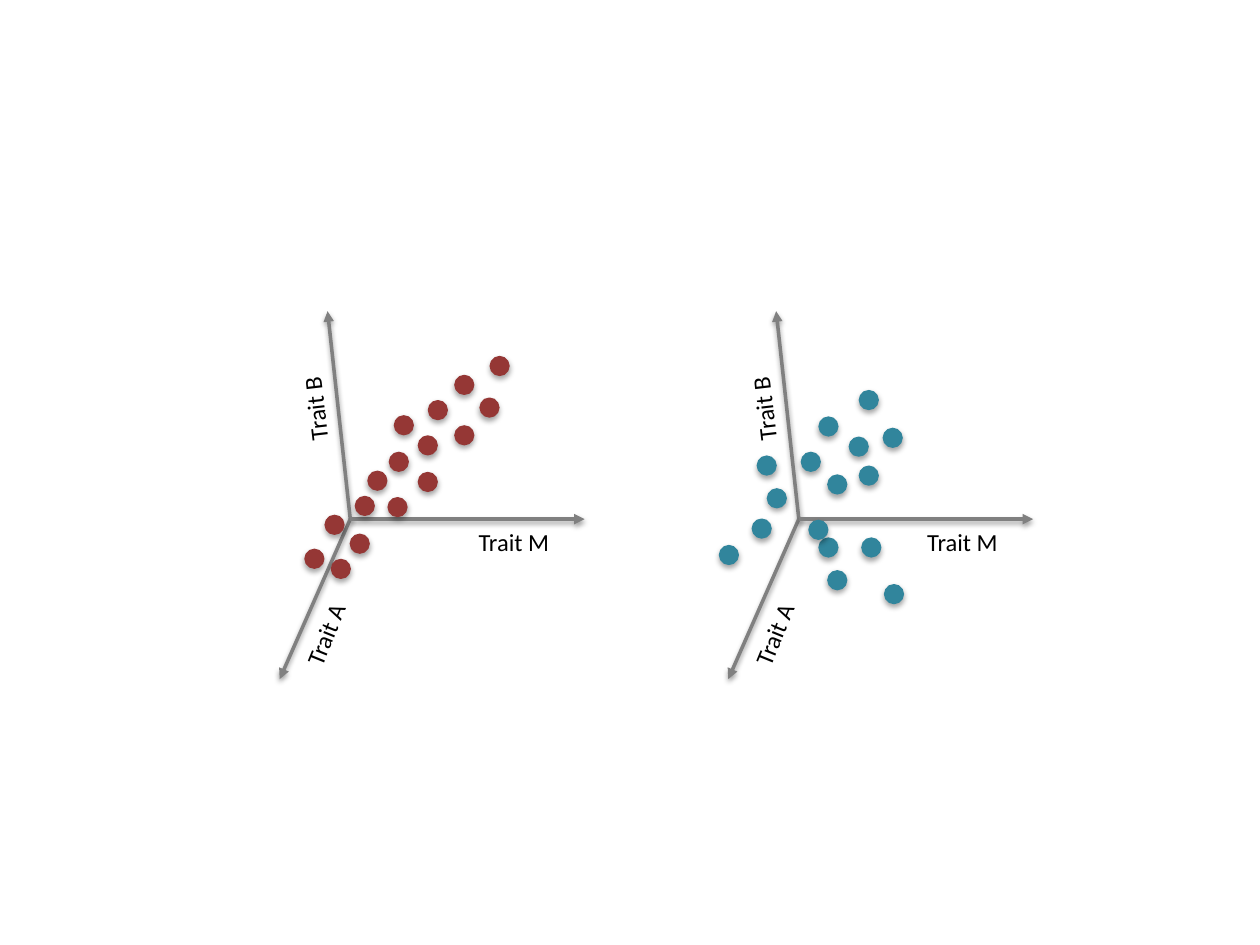
"""Two three-axis trait plots, one with correlated and one with scattered points."""
from dataclasses import dataclass

from lxml import etree
from pptx import Presentation
from pptx.dml.color import RGBColor
from pptx.enum import shapes, text
from pptx.oxml import ns
from pptx.util import Inches, Pt

DOT = 0.15
ORIGIN_Y = 4.12


@dataclass
class Axis:
    label: str
    dx: float
    dy: float
    label_dx: float
    label_top: float
    label_width: float
    rotation: float


@dataclass
class Plot:
    origin_x: float
    color: str
    dots: list[tuple[float, float]]


AXES = [
    Axis("Trait B", -0.18, -1.65, -0.63, 3.08, 0.7, 263.3),
    Axis("Trait A", -0.56, 1.27, -0.55, 4.87, 0.7, 292.1),
    Axis("Trait M", 1.86, 0, 0.92, 4.13, 0.76, 0),
]

PLOTS = [
    Plot(2.78, "953735", [
        (3.13, 3.3), (2.82, 3.94), (3.81, 3.16), (3.4, 3.18),
        (2.63, 4.44), (3.32, 3.75), (2.92, 3.74), (2.78, 4.24),
        (3.08, 3.95), (3.89, 2.83), (3.61, 2.98), (3.32, 3.46),
        (2.58, 4.09), (3.09, 3.59), (3.61, 3.38), (2.42, 4.36)]),
    Plot(6.34, "31859C", [
        (6.57, 3.77), (6.5, 4.27), (6.84, 4.27), (6.5, 3.31),
        (5.97, 4.12), (6.57, 4.53), (7.02, 4.64), (6.01, 3.62),
        (6.42, 4.13), (6.82, 3.1), (7.01, 3.4), (6.74, 3.47),
        (5.71, 4.33), (6.36, 3.59), (6.82, 3.7), (6.09, 3.88)]),
]


def rgb(color: str) -> RGBColor:
    """Turn a hex string into a colour."""
    return RGBColor.from_string(color)


def add_shadow(sp, distance: float, opacity: int) -> None:
    """Give a shape or connector a soft shadow that falls straight down."""
    effects = etree.SubElement(sp._element.spPr, ns.qn("a:effectLst"))
    shadow = etree.SubElement(
        effects, ns.qn("a:outerShdw"), blurRad=str(Pt(3.1)), dist=str(Pt(distance)),
        dir="5400000", rotWithShape="0")
    color = etree.SubElement(shadow, ns.qn("a:srgbClr"), val="000000")
    etree.SubElement(color, ns.qn("a:alpha"), val=str(opacity * 1000))


def add_text(s, words: str, *, left: float, top: float, width: float, height: float = 0.33,
             rotation: float = 0, size: int = 14, color: str = "000000",
             font: str = "Calibri") -> None:
    """Add a single-line label."""
    sp = s.shapes.add_textbox(Inches(left), Inches(top), Inches(width), Inches(height))
    sp.rotation = rotation
    tf = sp.text_frame
    tf.word_wrap = False
    tf.auto_size = text.MSO_AUTO_SIZE.NONE
    r = tf.paragraphs[0].add_run()
    r.text = words
    r.font.name = font
    r.font.size = Pt(size)
    r.font.color.rgb = rgb(color)


def add_arrow(s, x: float, axis: Axis) -> None:
    """Draw an axis arrow outward from the origin."""
    sp = s.shapes.add_connector(
        shapes.MSO_CONNECTOR.STRAIGHT, Inches(x), Inches(ORIGIN_Y),
        Inches(x + axis.dx), Inches(ORIGIN_Y + axis.dy))
    sp.line.color.rgb = rgb("808080")
    sp.line.width = Pt(2)
    etree.SubElement(sp.line._get_or_add_ln(), ns.qn("a:tailEnd"), type="triangle")
    add_shadow(sp, 1.6, 38)


def add_dot(s, left: float, top: float, color: str) -> None:
    """Draw one data point."""
    sp = s.shapes.add_shape(
        shapes.MSO_SHAPE.OVAL, Inches(left), Inches(top), Inches(DOT), Inches(DOT))
    sp.fill.solid()
    sp.fill.fore_color.rgb = rgb(color)
    sp.line.color.rgb = rgb(color)
    sp.line.width = Pt(0.75)
    add_shadow(sp, 1.8, 35)


def add_plot(s, plot: Plot) -> None:
    """Draw the axes, labels and points of one plot."""
    for axis in AXES:
        add_arrow(s, plot.origin_x, axis)
    for axis in AXES:
        add_text(s, axis.label, left=plot.origin_x + axis.label_dx, top=axis.label_top,
                 width=axis.label_width, rotation=axis.rotation)
    for left, top in plot.dots:
        add_dot(s, left, top, plot.color)


def main() -> None:
    """Build and save the slide."""
    prs = Presentation()
    prs.slide_width, prs.slide_height = Inches(10), Inches(7.5)
    s = prs.slides.add_slide(prs.slide_layouts[6])
    for plot in PLOTS:
        add_plot(s, plot)
    prs.save("out.pptx")


if __name__ == "__main__":
    main()
